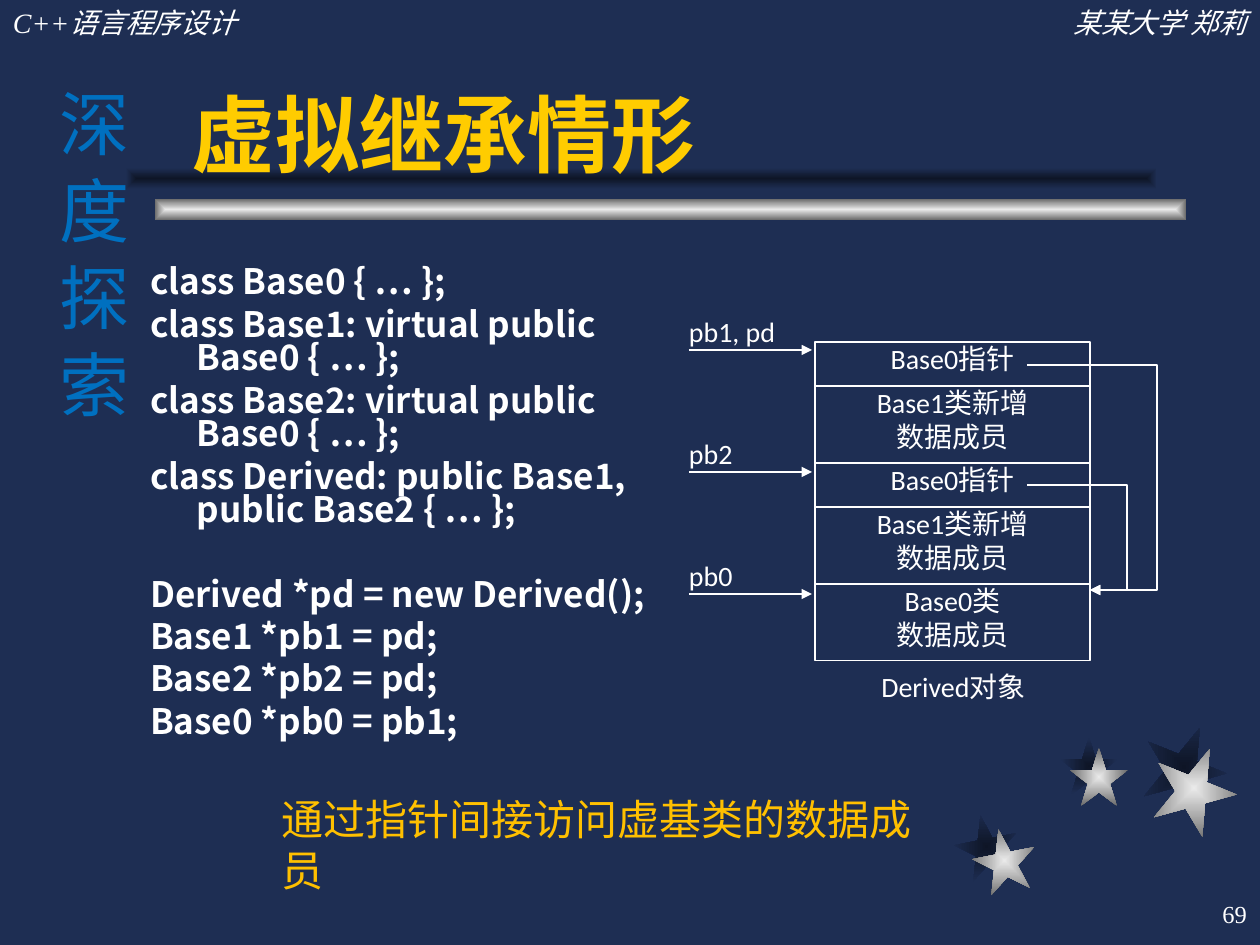
"""Build the slide on virtual inheritance and its object layout."""
from lxml.etree import SubElement
from pptx import Presentation
from pptx.dml.color import RGBColor
from pptx.enum.shapes import MSO_CONNECTOR, MSO_SHAPE
from pptx.enum.text import MSO_ANCHOR, PP_ALIGN
from pptx.oxml.ns import qn
from pptx.util import Pt

PX = 914400 // 126
HUES = {"back": "1E2E53", "dark": "0E1526", "light": "EAEAEA", "grey": "6C6C6C",
        "white": "FFFFFF", "title": "FFCC00", "gold": "FFC000", "blue": "0070C0"}
RGB = {name: RGBColor.from_string(code) for name, code in HUES.items()}
SERIF, SANS = "Times New Roman", "Calibri"

deck = Presentation()
deck.slide_width, deck.slide_height = 1260 * PX, 945 * PX
slide = deck.slides.add_slide(deck.slide_layouts[6])
slide.background.fill.solid()
slide.background.fill.fore_color.rgb = RGB["back"]
shapes = slide.shapes


def glow(kind, box, hues, turn=0):
    """Add a shape whose colour runs from its centre to its edge."""
    shape = shapes.add_shape(kind, *[n * PX for n in box])
    shape.rotation = turn
    shape.shadow.inherit = False
    shape.line.fill.background()
    shape.fill.gradient()
    for stop, hue, spot in zip(shape.fill.gradient_stops, hues, (0, 1)):
        stop.color.rgb = RGB[hue]
        stop.position = spot
    grad = shape._element.spPr.find(qn("a:gradFill"))
    grad.remove(grad.find(qn("a:lin")))
    ring = SubElement(grad, qn("a:path"), {"path": "rect"})
    SubElement(ring, qn("a:fillToRect"), {side: "50000" for side in "ltrb"})


def write(text, box, size, font=SANS, hue="white", align=PP_ALIGN.LEFT,
          inset=(13, 6), wrap=True, frame=False):
    """Add a text box or a framed cell and return its text frame."""
    place = [n * PX for n in box]
    if frame:
        shape = shapes.add_shape(MSO_SHAPE.RECTANGLE, *place)
        shape.shadow.inherit = False
        shape.fill.background()
        shape.line.color.rgb = RGB["white"]
        shape.line.width = Pt(0.74)
    else:
        shape = shapes.add_textbox(*place)
    body = shape.text_frame
    body.text = text
    body.word_wrap = wrap
    body.vertical_anchor = MSO_ANCHOR.TOP
    body.margin_left = body.margin_right = inset[0] * PX
    body.margin_top = body.margin_bottom = inset[1] * PX
    for para in body.paragraphs:
        para.alignment = align
        for run in para.runs:
            run.font.size = Pt(size)
            run.font.name = font
            run.font.color.rgb = RGB[hue]
            SubElement(run._r.get_or_add_rPr(), qn("a:ea"), typeface="Noto Sans CJK SC")
    return body


shade, steel = ("dark", "back"), ("light", "grey")
stars = [(955, 815, 973, 829, 63, 349), (1060, 737, 1070, 748, 58, 0),
         (1142, 725, 1152, 746, 84, 22)]
for left, top, _, _, size, turn in stars:
    glow(MSO_SHAPE.STAR_5_POINT, (left, top, size, size), shade, turn)
for _, _, left, top, size, turn in stars:
    glow(MSO_SHAPE.STAR_5_POINT, (left, top, size, size), steel, turn)
glow(MSO_SHAPE.RECTANGLE, (155, 199, 1031, 21), steel)
glow(MSO_SHAPE.RECTANGLE, (126, 168, 1031, 21), shade)

for text, left, align in [("C++语言程序设计", 0, PP_ALIGN.LEFT),
                          ("某某大学 郑莉", 872, PP_ALIGN.RIGHT)]:
    para = write(text, (left, 0, 388, 47), 16, SERIF, align=align).paragraphs[0]
    para.space_before = Pt(10)
    para.runs[0].font.italic = True

title = write("虚拟继承情形", (179, 32, 987, 157), 48, "Arial", "title")
title.vertical_anchor = MSO_ANCHOR.BOTTOM
title.paragraphs[0].runs[0].font.bold = True

lines = ["class Base0 { … };",
         "class Base1: virtual public Base0 { … };",
         "class Base2: virtual public Base0 { … };",
         "class Derived: public Base1, public Base2 { … };",
         "Derived *pd = new Derived();",
         "Base1 *pb1 = pd;",
         "Base2 *pb2 = pd;",
         "Base0 *pb0 = pb1;"]
code = write("\n".join(lines), (137, 262, 522, 567), 20, "Noto Sans CJK SC")
for para in code.paragraphs:
    para.line_spacing = 0.8
    para.space_before = Pt(29 if para.text.startswith("Derived") else 5)
    para.runs[0].font.bold = True
    props = para._p.get_or_add_pPr()
    props.set("marL", str(47 * PX))
    props.set("indent", str(-47 * PX))

page = write("69", (998, 882, 262, 63), 14, SERIF, align=PP_ALIGN.RIGHT)
page.vertical_anchor = MSO_ANCHOR.MIDDLE

top = 342
for text, high in [("Base0指针", 44), ("Base1类新增\n数据成员", 77),
                   ("Base0指针", 44), ("Base1类新增\n数据成员", 77),
                   ("Base0类\v数据成员", 77)]:
    write(text, (815, top, 275, high), 16, align=PP_ALIGN.CENTER, inset=(0, 0), frame=True)
    top += high
write("Derived对象", (868, 670, 171, 40), 16, align=PP_ALIGN.CENTER, inset=(0, 0))

links = [(1027, 365, 1090, 590, 1157), (1027, 485, 1090, 590, 1127)]
for step, text in enumerate(["pb1, pd", "pb2", "pb0"]):
    level = 350 + 122 * step
    write(text, (689, level - 35, 145, 36), 16, align=PP_ALIGN.JUSTIFY, inset=(0, 0))
    links.append((689, level, 812, level, None))

for left, top, right, low, bend in links:
    kind = MSO_CONNECTOR.ELBOW if bend else MSO_CONNECTOR.STRAIGHT
    link = shapes.add_connector(kind, left * PX, top * PX, right * PX, low * PX)
    link.line.color.rgb = RGB["white"]
    link.line.width = Pt(0.74)
    props = link._element.spPr
    SubElement(props.find(qn("a:ln")), qn("a:tailEnd"), type="triangle")
    SubElement(props, qn("a:effectLst"))
    if bend:
        ratio = round(100000 * (bend - left) / (right - left))
        guides = props.find(qn("a:prstGeom")).find(qn("a:avLst"))
        SubElement(guides, qn("a:gd"), name="adj1", fmla=f"val {ratio}")

write("通过指针间接访问虚基类的数据成员", (269, 788, 697, 63), 24, SERIF, "gold", wrap=False)

side = write("深 度 探 索", (32, 76, 108, 798), 40, SERIF, "blue", PP_ALIGN.CENTER, (6, 13))
side.paragraphs[0].space_before = Pt(25)
side._txBody.bodyPr.set("vert", "eaVert")

deck.save("out.pptx")
